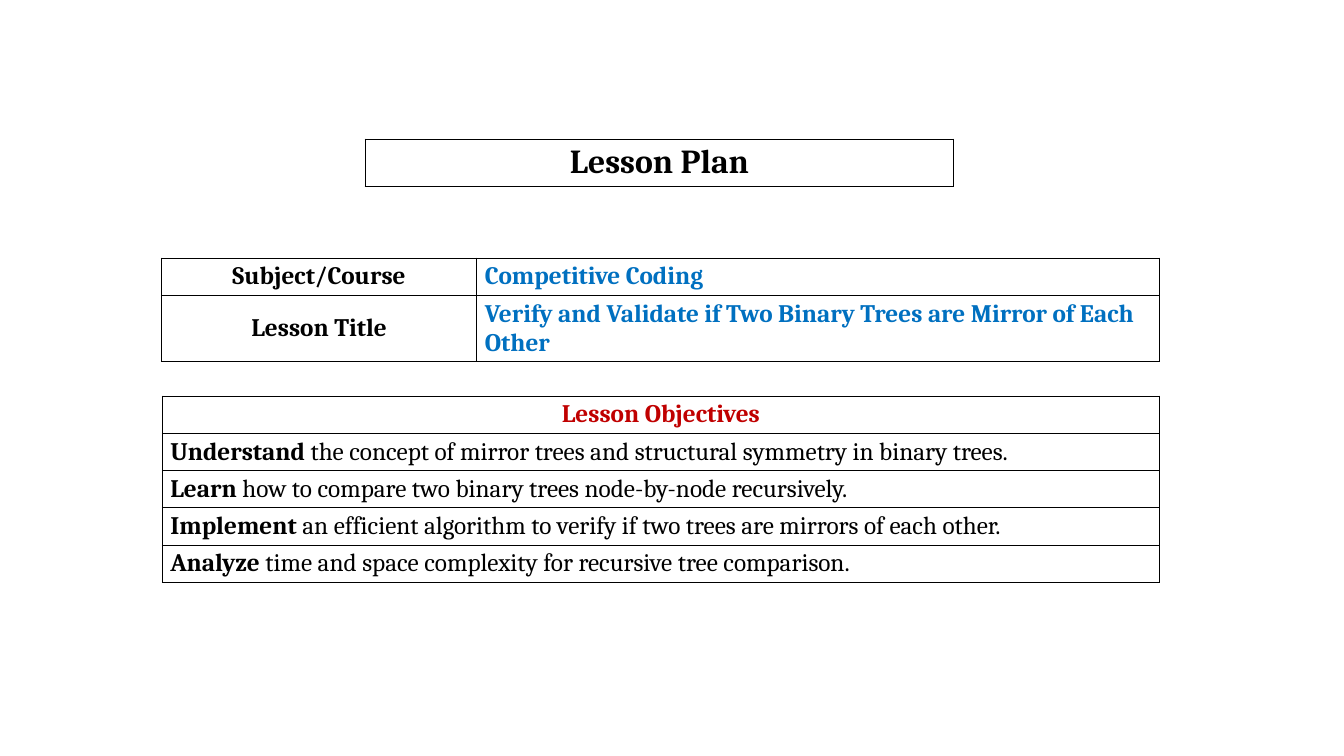
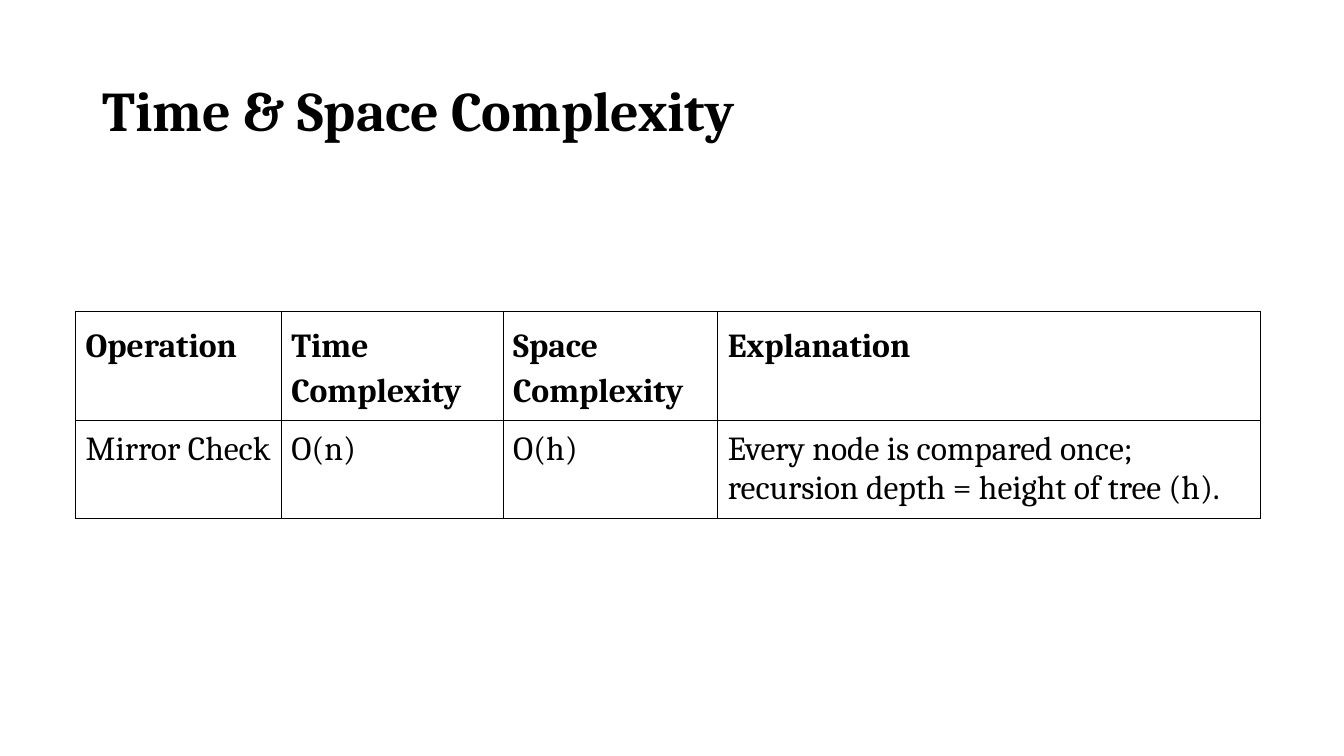
"""Build the lesson plan and complexity slides for the mirror tree lesson."""
from dataclasses import dataclass

import pptx
import pptx.dml.color
import pptx.enum.text
import pptx.oxml
import pptx.oxml.ns
import pptx.util

Inches = pptx.util.Inches
LEFT, CENTER = pptx.enum.text.PP_ALIGN.LEFT, pptx.enum.text.PP_ALIGN.CENTER
TOP, MIDDLE = pptx.enum.text.MSO_ANCHOR.TOP, pptx.enum.text.MSO_ANCHOR.MIDDLE


@dataclass(frozen=True)
class Theme:
    font: str = "Cambria"
    ink: str = "000000"
    paper: str = "FFFFFF"
    blue: str = "0070C0"
    red: str = "C00000"
    heading: int = 40
    large: int = 24
    body: int = 18
    border: float = 0.75


THEME = Theme()


def add_run(paragraph, text, size, bold=False, color=THEME.ink):
    run = paragraph.add_run()
    run.text = text
    formats = {"name": THEME.font, "size": pptx.util.Pt(size), "bold": bold}
    for attribute, value in formats.items():
        setattr(run.font, attribute, value)
    run.font.color.rgb = pptx.dml.color.RGBColor.from_string(color)


def add_grid(slide, left, top, widths, heights, rows, size, margins, anchor):
    table = slide.shapes.add_table(
        len(rows), len(widths), Inches(left), Inches(top),
        Inches(sum(widths)), Inches(sum(heights))).table
    table.first_row = table.horz_banding = False
    for column, width in zip(table.columns, widths):
        column.width = Inches(width)
    for row, height in zip(table.rows, heights):
        row.height = Inches(height)
    side, edge = (Inches(margin) for margin in margins)
    cell_format = {"margin_left": side, "margin_right": side, "margin_top": edge,
                   "margin_bottom": edge, "vertical_anchor": anchor}
    for row, contents in zip(table.rows, rows):
        for cell, (alignment, *runs) in zip(row.cells, contents):
            for attribute, value in cell_format.items():
                setattr(cell, attribute, value)
            properties = cell._tc.get_or_add_tcPr()
            for tag in ("lnL", "lnR", "lnT", "lnB"):
                properties.append(pptx.oxml.parse_xml(
                    f'<a:{tag} {pptx.oxml.ns.nsdecls("a")} w="{pptx.util.Pt(THEME.border)}">'
                    f'<a:solidFill><a:srgbClr val="{THEME.ink}"/></a:solidFill></a:{tag}>'))
            cell.fill.solid()
            cell.fill.fore_color.rgb = pptx.dml.color.RGBColor.from_string(THEME.paper)
            paragraph = cell.text_frame.paragraphs[0]
            paragraph.alignment = alignment
            for text, bold, color in runs:
                add_run(paragraph, text, size, bold, color)
    return table


deck = pptx.Presentation()
deck.slide_width, deck.slide_height = Inches(13.33), Inches(7.5)

plan = deck.slides.add_slide(deck.slide_layouts[6])
compact = {"margins": (0.08, 0.04), "anchor": MIDDLE}
add_grid(plan, 3.62, 1.38, [5.84], [0.47],
         [[(CENTER, ("Lesson Plan", True, THEME.ink))]], THEME.large, **compact)

course = [
    ("Subject/Course", "Competitive Coding"),
    ("Lesson Title", "Verify and Validate if Two Binary Trees are Mirror of Each Other"),
]
add_grid(plan, 1.6, 2.56, [3.13, 6.77], [0.37, 0.66],
         [[(CENTER, (label, True, THEME.ink)), (LEFT, (value, True, THEME.blue))]
          for label, value in course], THEME.body, **compact)

objectives = [
    ("Understand", " the concept of mirror trees and structural symmetry in binary trees."),
    ("Learn", " how to compare two binary trees node-by-node recursively."),
    ("Implement", " an efficient algorithm to verify if two trees are mirrors of each other."),
    ("Analyze", " time and space complexity for recursive tree comparison."),
]
objective_rows = [[(CENTER, ("Lesson Objectives", True, THEME.red))]]
objective_rows += [[(LEFT, (verb, True, THEME.ink), (goal, False, THEME.ink))]
                   for verb, goal in objectives]
add_grid(plan, 1.61, 3.93, [9.89], [0.37] * len(objective_rows),
         objective_rows, THEME.body, **compact)

complexity = deck.slides.add_slide(deck.slide_layouts[5])
heading = complexity.shapes.title
heading_box = {"left": 0.92, "top": 0.4, "width": 11.5, "height": 1.45}
for attribute, value in heading_box.items():
    setattr(heading, attribute, Inches(value))
heading.text_frame.auto_size = pptx.enum.text.MSO_AUTO_SIZE.NONE
heading.text_frame.vertical_anchor = MIDDLE
heading_line = heading.text_frame.paragraphs[0]
heading_line.alignment, heading_line.line_spacing = LEFT, 0.9
add_run(heading_line, "Time & Space Complexity", THEME.heading, True)

costs = [
    ("Operation", "Time Complexity", "Space Complexity", "Explanation"),
    ("Mirror Check", "O(n)", "O(h)",
     "Every node is compared once; recursion depth = height of tree (h)."),
]
cost_table = add_grid(
    complexity, 0.75, 3.09, [2.04, 2.2, 2.13, 5.38], [1.08, 0.96],
    [[(LEFT, (text, index == 0, THEME.ink)) for text in row]
     for index, row in enumerate(costs)], THEME.large, (0.1, 0.1), TOP)
for cell in cost_table.rows[0].cells:
    cell.text_frame.paragraphs[0].line_spacing = 1.15

deck.save("out.pptx")
